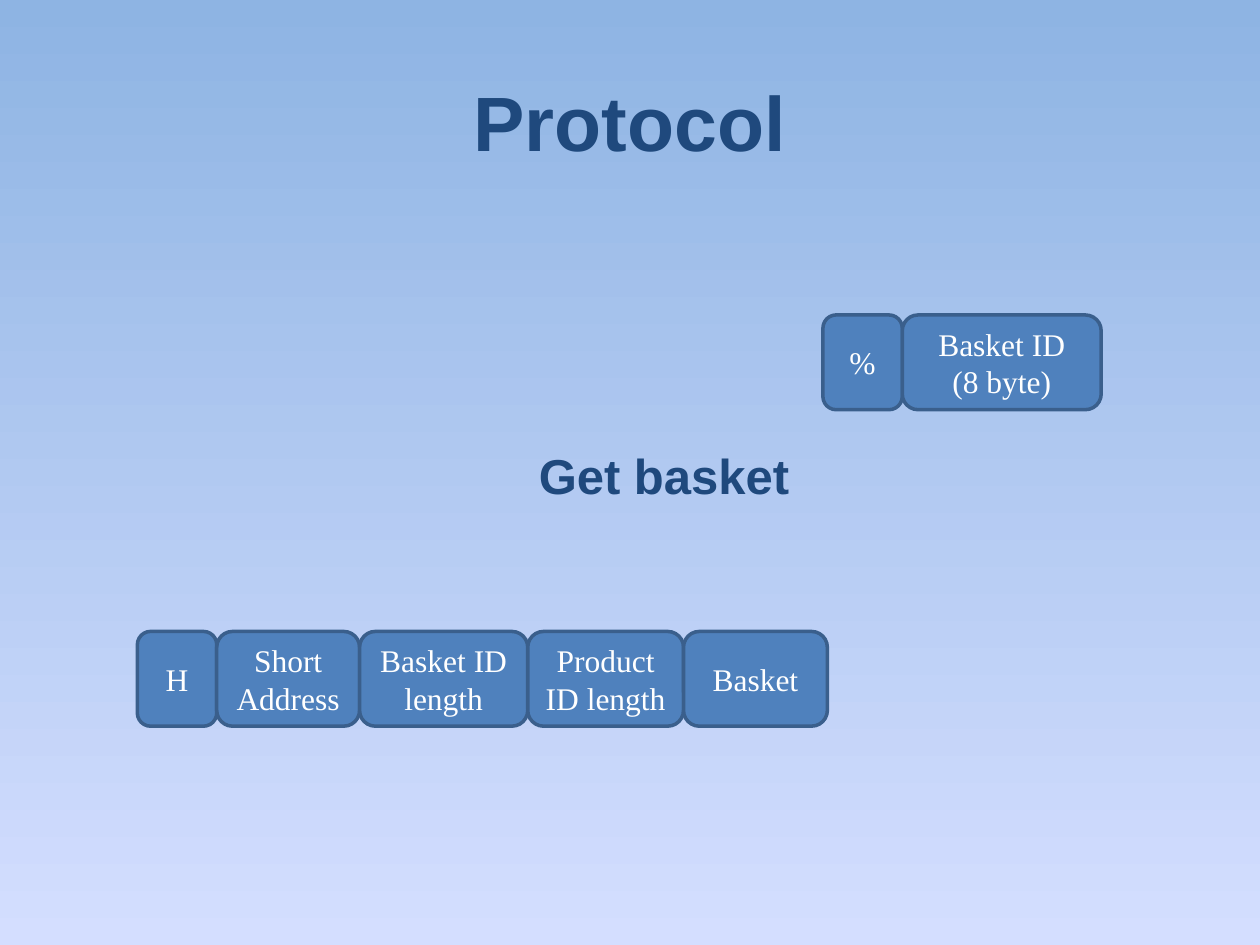
from pptx import Presentation
from pptx.dml.color import RGBColor
from pptx.enum.shapes import MSO_SHAPE
from pptx.enum.text import MSO_ANCHOR, PP_ALIGN
from pptx.util import Cm, Pt


def color(value):
    return RGBColor.from_string(value)


def write(tf, text, *, size, font, fill, bold=False):
    """Fill a text frame with centred text, one paragraph per line."""
    tf.word_wrap = True
    tf.vertical_anchor = MSO_ANCHOR.MIDDLE
    for i, line in enumerate(text.split("\n")):
        p = tf.add_paragraph() if i else tf.paragraphs[0]
        p.alignment = PP_ALIGN.CENTER
        r = p.add_run()
        r.text = line
        r.font.size = Pt(size)
        r.font.name = font
        r.font.bold = bold
        r.font.color.rgb = color(fill)


class Slide:
    heading = {"font": "Arial", "fill": "1F497D", "bold": True}
    label = {"font": "Times New Roman", "fill": "FFFFFF", "size": 18}
    field_fill = "4F81BD"
    field_line = "3A5F8C"
    field_height = 1.91

    def __init__(self, prs):
        self.s = prs.slides.add_slide(prs.slide_layouts[6])

    def background(self, top, bottom):
        fill = self.s.background.fill
        fill.gradient()
        fill.gradient_angle = 270
        for stop, value, position in zip(fill.gradient_stops, (top, bottom), (0, 1)):
            stop.color.rgb = color(value)
            stop.position = position

    def text(self, text, x, y, w, h, size):
        sp = self.s.shapes.add_textbox(Cm(x), Cm(y), Cm(w), Cm(h))
        write(sp.text_frame, text, size=size, **self.heading)

    def field(self, text, x, y, w):
        sp = self.s.shapes.add_shape(MSO_SHAPE.ROUNDED_RECTANGLE,
                                     Cm(x), Cm(y), Cm(w), Cm(self.field_height))
        sp.shadow.inherit = False
        sp.fill.solid()
        sp.fill.fore_color.rgb = color(self.field_fill)
        sp.line.color.rgb = color(self.field_line)
        sp.line.width = Pt(2)
        write(sp.text_frame, text, **self.label)

    def message(self, x, y, fields):
        """Lay out the fields of one message side by side."""
        for text, w in fields:
            self.field(text, x, y, w)
            x += w


def main():
    prs = Presentation()
    prs.slide_width, prs.slide_height = Cm(25.4), Cm(19.05)
    s = Slide(prs)
    s.background("8EB4E3", "D4DEFF")
    s.text("Protocol", 1.27, 0.84, 22.86, 3.18, size=44)
    s.message(16.59, 6.35, [("%", 1.6), ("Basket ID\n(8 byte)", 4.01)])
    s.message(2.77, 12.73, [
        ("H", 1.6),
        ("Short Address", 2.88),
        ("Basket ID length", 3.39),
        ("Product ID length", 3.14),
        ("Basket", 2.9),
    ])
    s.text("Get basket", 8.79, 8.36, 9.19, 2.44, size=28)
    prs.save("out.pptx")


if __name__ == "__main__":
    main()
